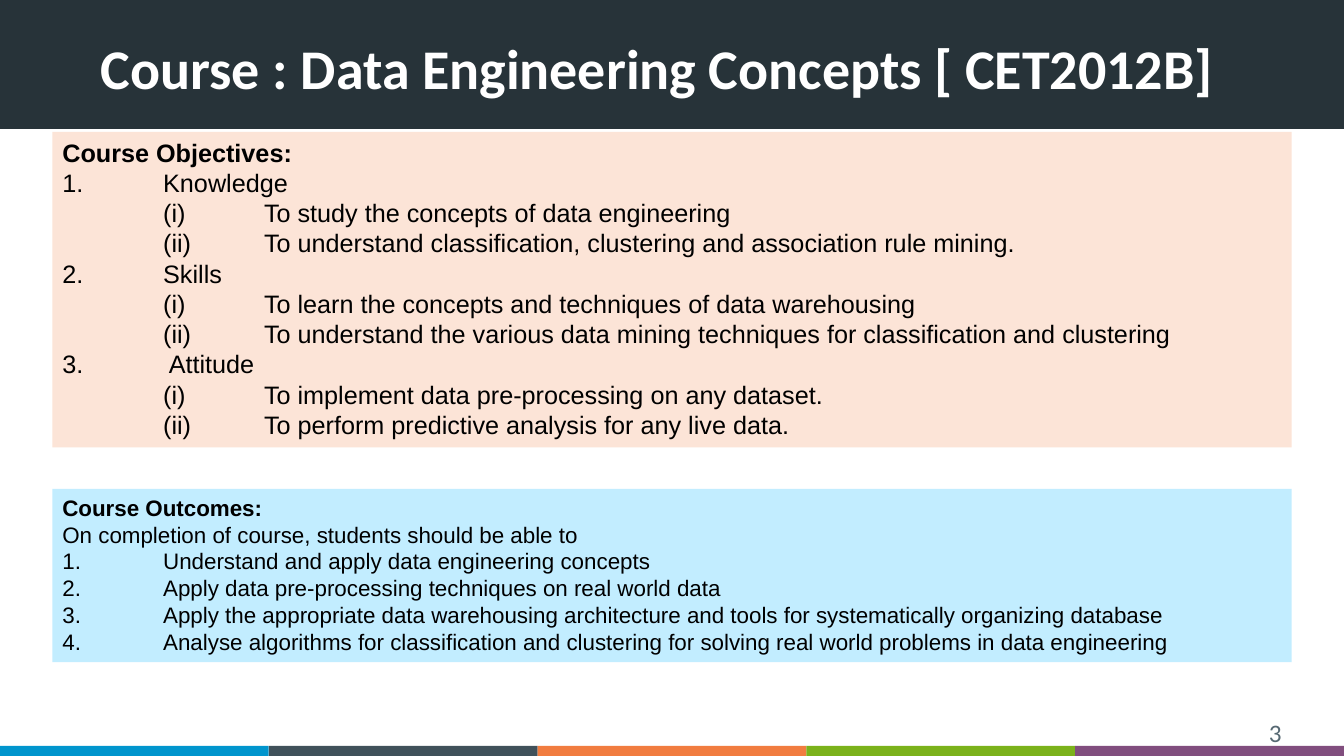
from dataclasses import dataclass

from pptx import Presentation
from pptx.dml.color import RGBColor
from pptx.enum import shapes, text
from pptx.oxml import parse_xml
from pptx.oxml.ns import nsdecls
from pptx.util import Inches, Pt

COLORS = {
    "header": "273339",
    "objectives": "FCE4D7",
    "outcomes": "C2EDFF",
    "body": "000000",
    "title": "FFFFFF",
    "number": "576973",
}
STRIPE_COLORS = ["0095CD", "40515A", "F17C3F", "7BB21B", "814E7E"]
SLIDE_WIDTH, SLIDE_HEIGHT = 13.33, 7.5
STRIPE_HEIGHT = 0.1
LABEL_WIDTH = 1


@dataclass
class Line:
    content: str
    label: str = ""
    level: int = 0
    bold: bool = False


@dataclass
class Panel:
    top: float
    height: float
    color: str
    font_size: int
    lines: list[Line]


PANELS = [
    Panel(1.31, 3.13, COLORS["objectives"], 18, [
        Line("Course Objectives:", bold=True),
        Line("Knowledge", "1."),
        Line("To study the concepts of data engineering", "(i)", 1),
        Line("To understand classification, clustering and association rule mining.", "(ii)", 1),
        Line("Skills", "2."),
        Line("To learn the concepts and techniques of data warehousing", "(i)", 1),
        Line("To understand the various data mining techniques for classification and clustering",
             "(ii)", 1),
        Line(" Attitude", "3."),
        Line("To implement data pre-processing on any dataset.", "(i)", 1),
        Line("To perform predictive analysis for any live data.", "(ii)", 1),
    ]),
    Panel(4.85, 1.72, COLORS["outcomes"], 16, [
        Line("Course Outcomes:", bold=True),
        Line("On completion of course, students should be able to"),
        Line("Understand and apply data engineering concepts", "1."),
        Line("Apply data pre-processing techniques on real world data", "2."),
        Line("Apply the appropriate data warehousing architecture and tools for "
             "systematically organizing database", "3."),
        Line("Analyse algorithms for classification and clustering for solving "
             "real world problems in data engineering", "4."),
    ]),
]


def set_font(paragraph, name: str, size: int, color: str, bold: bool = False) -> None:
    font = paragraph.font
    font.name, font.size, font.bold = name, Pt(size), bold
    font.color.rgb = RGBColor.from_string(color)


def add_rectangle(slide, left: float, top: float, width: float, height: float, color: str):
    rectangle = slide.shapes.add_shape(
        shapes.MSO_SHAPE.RECTANGLE, Inches(left), Inches(top), Inches(width), Inches(height))
    rectangle.shadow.inherit = False
    rectangle.fill.solid()
    rectangle.fill.fore_color.rgb = RGBColor.from_string(color)
    rectangle.line.fill.background()
    return rectangle


def set_hanging_label(paragraph, level: int) -> None:
    """Hang the label to the left of its text, with a tab stop where the text starts."""
    text_start = Inches(LABEL_WIDTH * (level + 1))
    properties = paragraph._p.get_or_add_pPr()
    properties.set("marL", str(text_start))
    properties.set("indent", str(-Inches(LABEL_WIDTH)))
    properties.append(parse_xml(
        f'<a:tabLst {nsdecls("a")}><a:tab pos="{text_start}" algn="l"/></a:tabLst>'))


def add_panel(slide, panel: Panel) -> None:
    frame = add_rectangle(slide, 0.52, panel.top, 12.29, panel.height, panel.color).text_frame
    frame.word_wrap = True
    frame.vertical_anchor = text.MSO_ANCHOR.TOP
    for index, line in enumerate(panel.lines):
        paragraph = frame.add_paragraph() if index else frame.paragraphs[0]
        paragraph.alignment = text.PP_ALIGN.LEFT
        paragraph.text = f"{line.label}\t{line.content}" if line.label else line.content
        if line.label:
            set_hanging_label(paragraph, line.level)
        set_font(paragraph, "Arial", panel.font_size, COLORS["body"], line.bold)


def format_title(slide) -> None:
    title = slide.shapes.title
    title.left, title.top = Inches(0.8), Inches(0.36)
    title.width, title.height = Inches(11.43), Inches(0.7)
    frame = title.text_frame
    frame.text = "Course : Data Engineering Concepts [ CET2012B]"
    frame.word_wrap = True
    frame.auto_size = text.MSO_AUTO_SIZE.NONE
    frame.vertical_anchor = text.MSO_ANCHOR.MIDDLE
    paragraph = frame.paragraphs[0]
    paragraph.alignment = text.PP_ALIGN.CENTER
    paragraph.line_spacing = 0.9
    set_font(paragraph, "Calibri", 40, COLORS["title"], bold=True)
    # Bring the title in front of the header bar.
    title.element.getparent().append(title.element)


def add_slide_number(slide) -> None:
    box = slide.shapes.add_textbox(Inches(9.81), Inches(7.07), Inches(3), Inches(0.31))
    box.text_frame.word_wrap = True
    paragraph = box.text_frame.paragraphs[0]
    paragraph.text = "3"
    paragraph.alignment = text.PP_ALIGN.RIGHT
    set_font(paragraph, "Calibri", 18, COLORS["number"])


def main() -> None:
    presentation = Presentation()
    presentation.slide_width = Inches(SLIDE_WIDTH)
    presentation.slide_height = Inches(SLIDE_HEIGHT)
    slide = presentation.slides.add_slide(presentation.slide_layouts.get_by_name("Title Only"))

    add_rectangle(slide, 0, 0, SLIDE_WIDTH, 1.28, COLORS["header"])
    stripe_width = SLIDE_WIDTH / len(STRIPE_COLORS)
    for index, color in enumerate(STRIPE_COLORS):
        add_rectangle(slide, index * stripe_width, SLIDE_HEIGHT - STRIPE_HEIGHT,
                      stripe_width, STRIPE_HEIGHT, color)
    add_slide_number(slide)
    for panel in PANELS:
        add_panel(slide, panel)
    format_title(slide)
    presentation.save("out.pptx")


if __name__ == "__main__":
    main()
